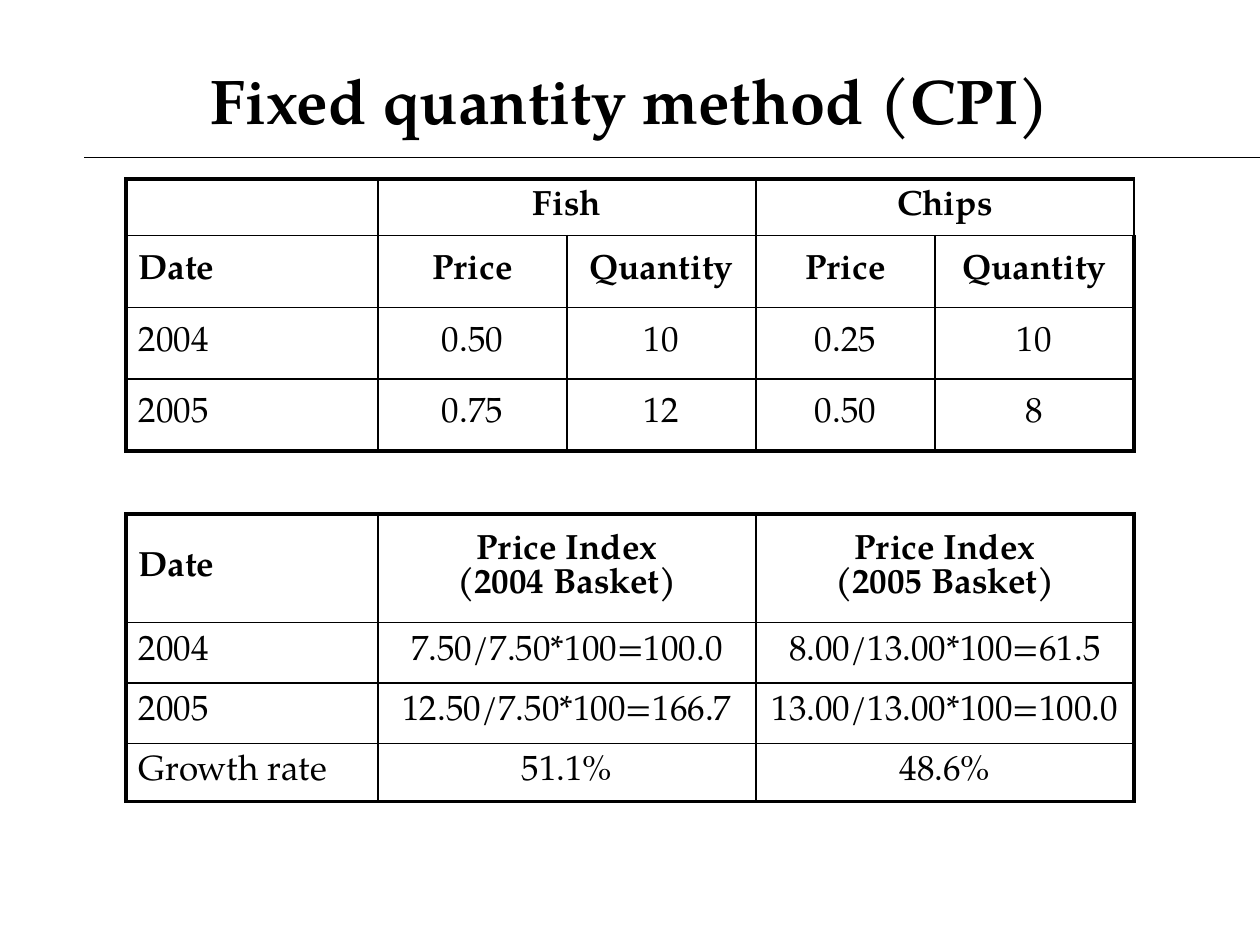
import dataclasses

import pptx
import pptx.dml.color
import pptx.enum.shapes
import pptx.enum.text
import pptx.oxml
import pptx.oxml.ns
import pptx.util

ALIGN = pptx.enum.text.PP_ALIGN
MIDDLE = pptx.enum.text.MSO_ANCHOR.MIDDLE
NS = pptx.oxml.ns.nsdecls("a")


@dataclasses.dataclass
class Theme:
    font: str = "TeX Gyre Pagella"
    ink: str = "000000"
    title: float = 36
    body: float = 20
    thin: float = 1
    thick: float = 2.25
    rule: float = 0.75


class Page:
    """A slide laid out on a grid of 10 columns by 7.5 rows."""

    cols, rows = 10, 7.5

    def __init__(self, theme):
        self.theme = theme
        self.deck = pptx.Presentation()
        self.deck.slide_width = pptx.util.Inches(10)
        self.deck.slide_height = pptx.util.Inches(7.5)
        self.slide = self.deck.slides.add_slide(self.deck.slide_layouts[6])

    def x(self, col):
        return round(self.deck.slide_width * col / self.cols)

    def y(self, row):
        return round(self.deck.slide_height * row / self.rows)

    def ink(self):
        return pptx.dml.color.RGBColor.from_string(self.theme.ink)

    def label(self, frame, text, size, bold, align):
        frame.text = text
        for para in frame.paragraphs:
            para.alignment = align
            font = para.font
            font.name, font.size = self.theme.font, pptx.util.Pt(size)
            font.bold, font.color.rgb = bold, self.ink()

    def title(self, text, left, top, width, height):
        box = self.slide.shapes.add_textbox(
            self.x(left), self.y(top), self.x(width), self.y(height))
        frame = box.text_frame
        frame.word_wrap, frame.vertical_anchor = True, MIDDLE
        self.label(frame, text, self.theme.title, True, ALIGN.CENTER)

    def rule(self, left, right, row):
        line = self.slide.shapes.add_connector(
            pptx.enum.shapes.MSO_CONNECTOR.STRAIGHT,
            self.x(left), self.y(row), self.x(right), self.y(row))
        line.line.color.rgb = self.ink()
        line.line.width = pptx.util.Pt(self.theme.rule)
        line._element.spPr.append(
            pptx.oxml.parse_xml(f"<a:effectLst {NS}/>"))

    def edges(self, cell, outer):
        """Draw the four borders; outer maps each side to True if on the frame."""
        props = cell._tc.get_or_add_tcPr()
        for spot, (side, edge) in enumerate(outer.items()):
            width = pptx.util.Pt(self.theme.thick if edge else self.theme.thin)
            props.insert(spot, pptx.oxml.parse_xml(
                f'<a:ln{side} {NS} w="{width}"><a:solidFill>'
                f'<a:srgbClr val="{self.theme.ink}"/></a:solidFill></a:ln{side}>'))

    def table(self, left, top, widths, heights, data, heads, spans=()):
        """Fill a grid whose first `heads` rows are bold; spans are (row, first, last)."""
        grid = self.slide.shapes.add_table(
            len(heights), len(widths), self.x(left), self.y(top),
            self.x(sum(widths)), self.y(sum(heights))).table
        for col, width in zip(grid.columns, widths):
            col.width = self.x(width)
        for row, height in zip(grid.rows, heights):
            row.height = self.y(height)
        for r, line in enumerate(data):
            for c, text in enumerate(line):
                cell = grid.cell(r, c)
                cell.fill.background()
                cell.vertical_anchor = MIDDLE
                self.label(cell.text_frame, text, self.theme.body, r < heads,
                           ALIGN.CENTER if c else ALIGN.LEFT)
                self.edges(cell, {"L": c == 0, "R": c == len(widths) - 1,
                                  "T": r == 0, "B": r == len(heights) - 1})
        for r, first, last in spans:
            grid.cell(r, first).merge(grid.cell(r, last))


def main():
    page = Page(Theme())
    page.rule(0.67, 10, 1.25)
    page.title("Fixed quantity method (CPI)", 0.5, 0.33, 9, 0.92)
    page.table(
        1, 1.42, [2, 1.5, 1.5, 1.42, 1.58], [0.45] + [0.57] * 3,
        [["", "Fish", "", "Chips", ""],
         ["Date"] + ["Price", "Quantity"] * 2,
         ["2004", "0.50", "10", "0.25", "10"],
         ["2005", "0.75", "12", "0.50", "8"]],
        heads=2, spans=[(0, 1, 2), (0, 3, 4)])
    page.table(
        1, 4.08, [2, 3, 3], [0.86, 0.48, 0.48, 0.46],
        [["Date"] + [f"Price Index\v({year} Basket)" for year in (2004, 2005)],
         ["2004", "7.50/7.50*100=100.0", "8.00/13.00*100=61.5"],
         ["2005", "12.50/7.50*100=166.7", "13.00/13.00*100=100.0"],
         ["Growth rate", "51.1%", "48.6%"]],
        heads=1)
    page.deck.save("out.pptx")


if __name__ == "__main__":
    main()
